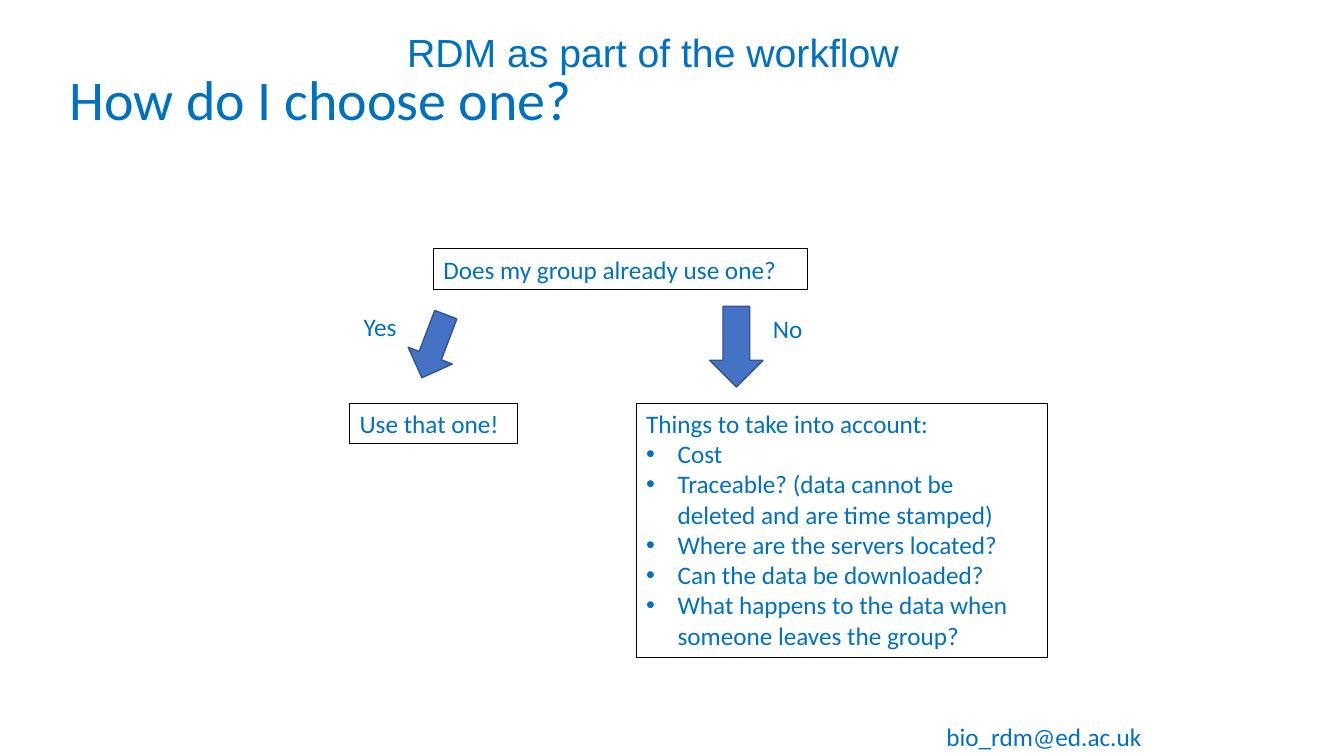
from lxml import etree
from pptx import Presentation
from pptx.dml.color import RGBColor
from pptx.enum.shapes import MSO_SHAPE
from pptx.enum.text import MSO_ANCHOR, MSO_AUTO_SIZE, PP_ALIGN
from pptx.oxml.ns import qn
from pptx.util import Pt

BLUE = RGBColor(0x00, 0x70, 0xC0)
BLACK = RGBColor(0x00, 0x00, 0x00)
ARROW_FILL = RGBColor(0x44, 0x72, 0xC4)
ARROW_EDGE = RGBColor(0x32, 0x54, 0x91)
DOWN_ARROW = MSO_SHAPE.DOWN_ARROW
TOP, MIDDLE = MSO_ANCHOR.TOP, MSO_ANCHOR.MIDDLE
LEFT = PP_ALIGN.LEFT
NO_FIT = MSO_AUTO_SIZE.NONE

BODY_FONT = {"name": "Calibri", "size": Pt(18)}
TITLE_FONT = {"name": "Calibri", "size": Pt(40)}
BANNER_FONT = {"name": "Arial", "size": Pt(28)}
FRAME = {"margin_left": Pt(7.2), "margin_right": Pt(7.2), "margin_top": Pt(3.6),
         "margin_bottom": Pt(3.6), "auto_size": NO_FIT}
ROW = 28.8
BULLET_INDENT = 22.5
CONSIDERATIONS = [
    "Cost",
    "Traceable? (data cannot be deleted and are time stamped)",
    "Where are the servers located?",
    "Can the data be downloaded?",
    "What happens to the data when someone leaves the group?",
]


def apply_format(target, values):
    """Set every attribute in values on target."""
    for attribute, value in values.items():
        setattr(target, attribute, value)


def place(shape, box):
    """Move shape to a box of left, top, width and height in points."""
    apply_format(shape, dict(zip(("left", "top", "width", "height"), map(Pt, box))))


def write(paragraph, text, font, spacing):
    """Fill a paragraph with one blue run."""
    apply_format(paragraph, {"alignment": LEFT, "line_spacing": spacing,
                             "space_before": Pt(0)})
    run = paragraph.add_run()
    run.text = text
    apply_format(run.font, font)
    run.font.color.rgb = BLUE


def fill_text(shape, box, text, font=BODY_FONT, anchor=TOP, spacing=1.0, wrap=True):
    """Place a text shape and write its first paragraph."""
    place(shape, box)
    frame = shape.text_frame
    apply_format(frame, {**FRAME, "vertical_anchor": anchor, "word_wrap": wrap})
    write(frame.paragraphs[0], text, font, spacing)


def add_label(slide, box, text, **style):
    """Add a text box and return it."""
    label = slide.shapes.add_textbox(*map(Pt, box))
    fill_text(label, box, text, **style)
    return label


def outline(shape, color, width):
    """Draw a solid edge around shape."""
    shape.line.color.rgb = color
    shape.line.width = Pt(width)


def set_bullet(paragraph, indent):
    """Give a paragraph a hanging bullet, or none when indent is zero."""
    properties = paragraph._p.get_or_add_pPr()
    properties.set("marL", str(Pt(indent)))
    properties.set("indent", str(-Pt(indent)))
    if indent:
        etree.SubElement(properties, qn("a:buFont"), typeface="Arial")
        etree.SubElement(properties, qn("a:buChar"), char="•")
    else:
        etree.SubElement(properties, qn("a:buNone"))


def add_arrow(slide, box, rotation=0):
    """Add a block arrow pointing down, turned by rotation degrees."""
    arrow = slide.shapes.add_shape(DOWN_ARROW, *map(Pt, box))
    arrow.shadow.inherit = False
    arrow.rotation = rotation
    arrow.fill.solid()
    arrow.fill.fore_color.rgb = ARROW_FILL
    outline(arrow, ARROW_EDGE, 1)


def add_heading(slide, left, top):
    """Add the banner line and the slide title."""
    add_label(slide, (left + 241.2, top, 480.2, 47.5), "RDM as part of the workflow",
              font=BANNER_FONT, anchor=MIDDLE, spacing=0.9)
    fill_text(slide.shapes.title, (left, top + 10.1, 655.2, 95.8),
              "How do I choose one?", font=TITLE_FONT, anchor=MIDDLE, spacing=0.9)


def add_considerations(slide, box):
    """Write the bulleted list of things to consider in the body placeholder."""
    checklist = slide.placeholders[1]
    frame = checklist.text_frame
    set_bullet(frame.paragraphs[0], 0)
    fill_text(checklist, box, "Things to take into account:")
    outline(checklist, BLACK, 0.75)
    for consideration in CONSIDERATIONS:
        item = frame.add_paragraph()
        set_bullet(item, BULLET_INDENT)
        write(item, consideration, BODY_FONT, 1.0)


def add_decision(slide, left, top):
    """Draw the question with its yes and no branches."""
    answer_top = top + 110.2
    question = add_label(slide, (left + 59.8, top, 267.1, ROW),
                         "Does my group already use one?")
    use_it = add_label(slide, (left, answer_top, 120.2, ROW), "Use that one!")
    for framed in (question, use_it):
        outline(framed, BLACK, 0.75)
    add_arrow(slide, (left + 43.2, top + 45.4, 33.8, 48.2), 20.8)
    add_arrow(slide, (left + 257.1, top + 41.1, 38.2, 57.6))
    add_label(slide, (left + 2.9, top + 41.1, 38.2, ROW), "Yes", wrap=False)
    add_label(slide, (left + 295.2, top + 42.5, 36, ROW), "No", wrap=False)
    add_considerations(slide, (left + 204.5, answer_top, 293.8, 181.4))


def main():
    """Build and save the slide."""
    deck = Presentation()
    apply_format(deck, {"slide_width": Pt(960), "slide_height": Pt(540)})
    slide = deck.slides.add_slide(deck.slide_layouts[1])
    add_heading(slide, 42.5, 15.1)
    add_decision(slide, 249.8, 177.8)
    add_label(slide, (668.9, 511.9, 170.6, ROW), "bio_rdm@ed.ac.uk")
    deck.save("out.pptx")


if __name__ == "__main__":
    main()
